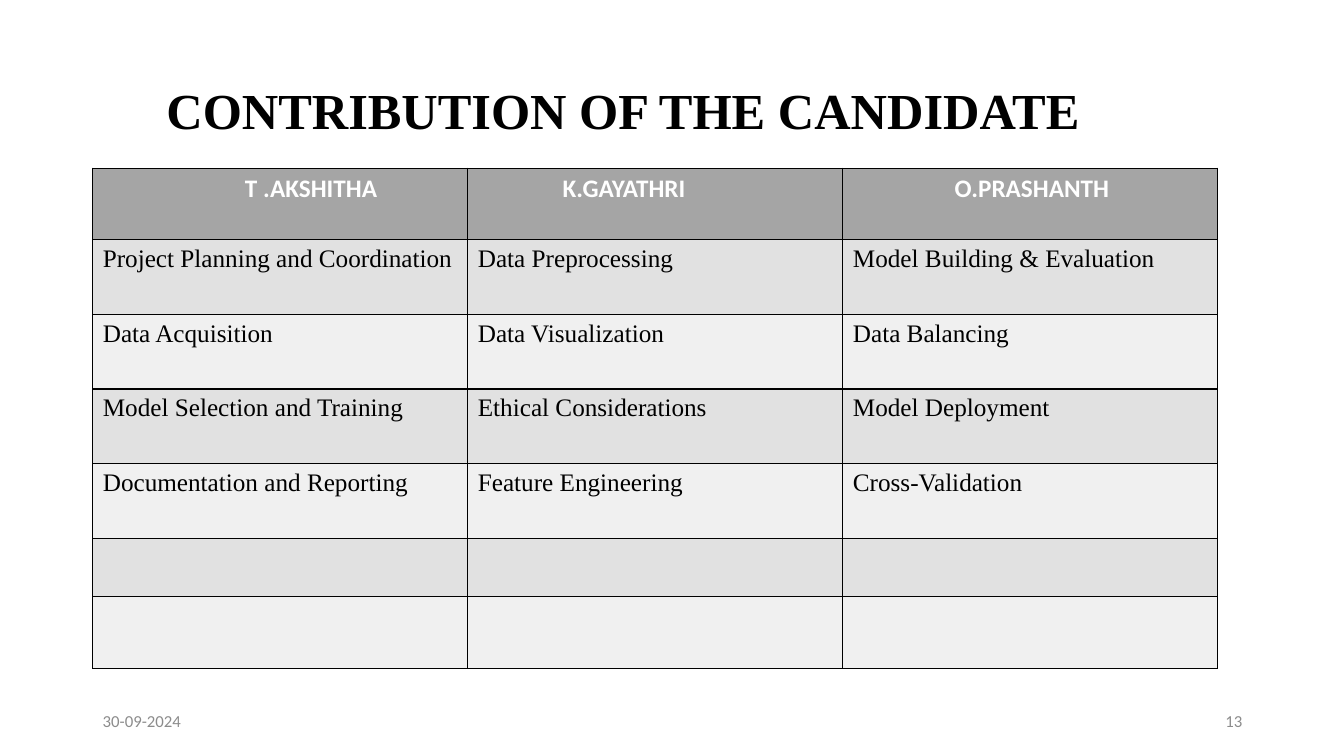
from lxml.etree import SubElement
from pptx import Presentation
from pptx.dml.color import RGBColor
from pptx.enum.text import MSO_ANCHOR as Anchor, MSO_AUTO_SIZE as AutoSize, PP_ALIGN as Align
from pptx.oxml.ns import qn
from pptx.util import Pt

# Content
TITLE = "CONTRIBUTION OF THE CANDIDATE"
CANDIDATES = [("T .AKSHITHA", 151), ("K.GAYATHRI", 94), ("O.PRASHANTH", 111)]  # name, indent
TASKS = [
    ("Project Planning and Coordination", "Data Preprocessing", "Model Building & Evaluation"),
    ("Data Acquisition", "Data Visualization", "Data Balancing"),
    ("Model Selection and Training", "Ethical Considerations", "Model Deployment"),
    ("Documentation and Reporting", "Feature Engineering", "Cross-Validation"),
    ("", "", ""),
    ("", "", ""),
]
FOOTERS = [("30-09-2024", 92, Align.LEFT), ("13", 942, Align.RIGHT)]

# Layout in px, 100 to the inch
PX = 9144
LEFT, TABLE_TOP, COL_W = 92, 167, 372
ROW_H = [71, 74, 74, 74, 74, 58, 71]
INSET = 10

SERIF, SANS = "Times New Roman", "Calibri"
BLACK = RGBColor(0x00, 0x00, 0x00)
WHITE = RGBColor(0xFF, 0xFF, 0xFF)
GRAY = RGBColor(0x8C, 0x8C, 0x8C)
HEADER = RGBColor(0xA5, 0xA5, 0xA5)
BANDS = [RGBColor(0xE1, 0xE1, 0xE1), RGBColor(0xF0, 0xF0, 0xF0)]


def px(*values):
    return [v * PX for v in values]


def write(tf, text, size=18, font=SERIF, color=BLACK, bold=False, align=Align.LEFT):
    p = tf.paragraphs[0]
    p.alignment = align
    p.font.size = Pt(size)
    if text:
        r = p.add_run()
        r.text = text
        r.font.size, r.font.name, r.font.bold = Pt(size), font, bold
        r.font.color.rgb = color
    return p


def add_borders(cell):
    tcPr = cell._tc.get_or_add_tcPr()
    for i, side in enumerate(("lnL", "lnR", "lnT", "lnB")):
        ln = SubElement(tcPr, qn(f"a:{side}"), w=str(Pt(1)))
        fill = SubElement(ln, qn("a:solidFill"))
        SubElement(fill, qn("a:srgbClr"), val=str(BLACK))
        tcPr.insert(i, ln)


prs = Presentation()
prs.slide_width, prs.slide_height = px(1333, 750)
s = prs.slides.add_slide(prs.slide_layouts[5])

# Title
sp = s.shapes.title
sp.left, sp.top, sp.width, sp.height = px(LEFT, 40, 1150, 145)
tf = sp.text_frame
tf.auto_size, tf.vertical_anchor = AutoSize.NONE, Anchor.MIDDLE
tf.margin_left = 73 * PX
write(tf, TITLE, size=36, bold=True).line_spacing = 0.9

# Table of contributions
rows = [[name for name, _ in CANDIDATES], *TASKS]
n_cols = len(CANDIDATES)
table = s.shapes.add_table(
    len(rows), n_cols, *px(LEFT, TABLE_TOP, COL_W * n_cols, sum(ROW_H))).table
for col in table.columns:
    col.width = COL_W * PX
for i, texts in enumerate(rows):
    table.rows[i].height = ROW_H[i] * PX
    for j, text in enumerate(texts):
        cell = table.cell(i, j)
        cell.fill.solid()
        if i == 0:
            cell.fill.fore_color.rgb = HEADER
            cell.margin_left = CANDIDATES[j][1] * PX
            write(cell.text_frame, text, font=SANS, color=WHITE, bold=True)
        else:
            cell.fill.fore_color.rgb = BANDS[(i - 1) % 2]
            cell.margin_left = INSET * PX
            write(cell.text_frame, text)
        add_borders(cell)

# Date and slide number
for text, left, align in FOOTERS:
    tf = s.shapes.add_textbox(*px(left, 695, 300, 40)).text_frame
    tf.word_wrap, tf.vertical_anchor = True, Anchor.MIDDLE
    write(tf, text, size=12, font=SANS, color=GRAY, align=align)

prs.save("out.pptx")
